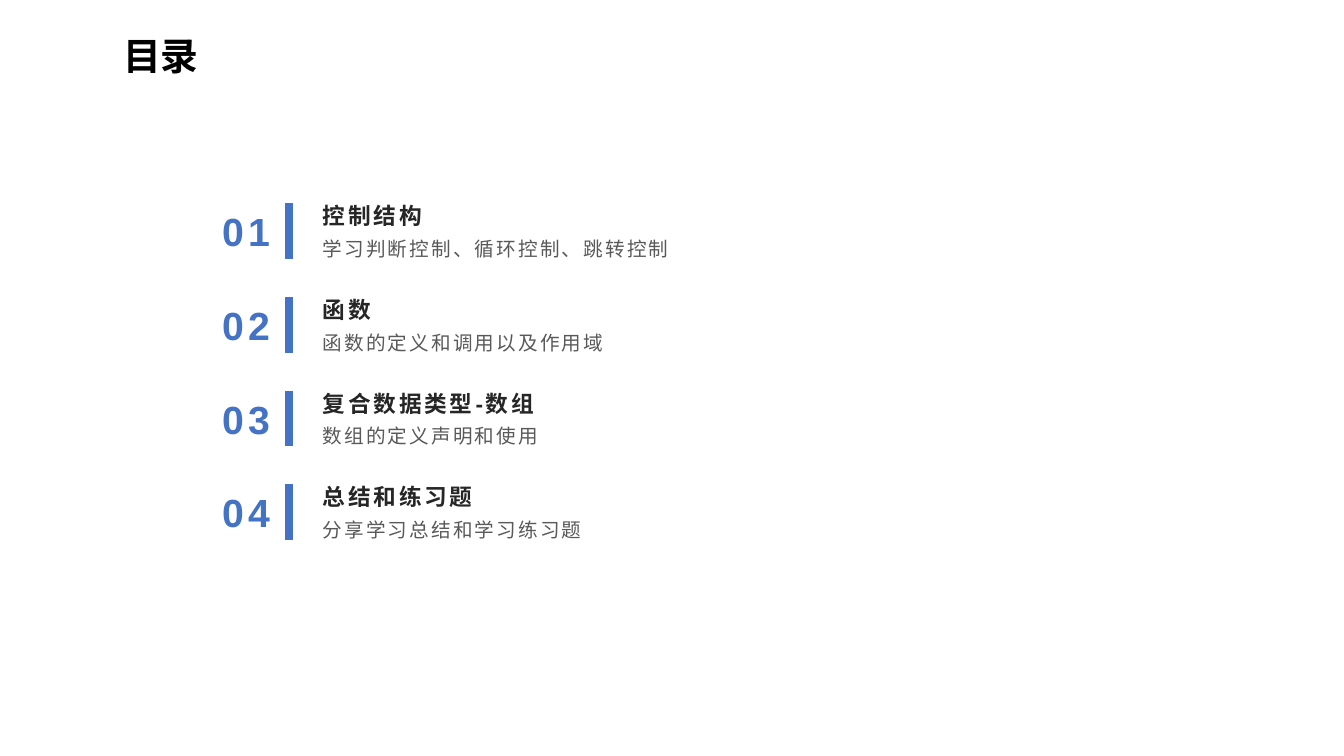
from collections import namedtuple

from lxml.etree import SubElement
from pptx import Presentation
from pptx.dml.color import RGBColor
from pptx.enum.shapes import MSO_CONNECTOR
from pptx.enum.text import MSO_ANCHOR as Anchor, MSO_AUTO_SIZE as AutoSize, PP_ALIGN as Align
from pptx.oxml.ns import qn
from pptx.util import Cm, Pt

BLACK = RGBColor(0x00, 0x00, 0x00)
DARK = RGBColor(0x26, 0x26, 0x26)
GREY = RGBColor(0x59, 0x59, 0x59)
BLUE = RGBColor(0x44, 0x72, 0xC4)
LATIN = "Arial"
CHINESE = "Noto Sans CJK SC"

Box = namedtuple("Box", "left top width height")
Style = namedtuple("Style", "size color bold tracking latin")

TITLE = Style(27, BLACK, True, 0, CHINESE)
NUMBER = Style(28, BLUE, True, 3, LATIN)
HEADING = Style(16.2, DARK, True, 2, LATIN)
DETAIL = Style(14, GREY, False, 1.5, LATIN)

CHAPTERS = [
    ("控制结构", "学习判断控制、循环控制、跳转控制"),
    ("函数", "函数的定义和调用以及作用域"),
    ("复合数据类型-数组", "数组的定义声明和使用"),
    ("总结和练习题", "分享学习总结和学习练习题"),
]
ROW_PITCH = 2.36


def fill_text(shape, text, style, margins, anchor, spacing=1.0, align=Align.LEFT):
    """Write one formatted paragraph into a shape."""
    frame = shape.text_frame
    frame.text = text
    frame.word_wrap = True
    frame.auto_size = AutoSize.NONE
    frame.vertical_anchor = anchor
    (frame.margin_left, frame.margin_top,
     frame.margin_right, frame.margin_bottom) = map(Cm, margins)
    para = frame.paragraphs[0]
    para.alignment = align
    para.line_spacing = spacing
    span = para.runs[0]
    span.font.name = style.latin
    span.font.size = Pt(style.size)
    span.font.bold = style.bold
    span.font.color.rgb = style.color
    properties = span.font._element
    properties.set("spc", str(round(style.tracking * 100)))
    SubElement(properties, qn("a:ea")).set("typeface", CHINESE)


def add_title(page, box, text):
    """Place and format the title placeholder."""
    title = page.shapes.title
    title.left, title.top, title.width, title.height = map(Cm, box)
    fill_text(title, text, TITLE, (0.33, 0.18, 0.33, 0.18), Anchor.MIDDLE, 0.9)


def add_label(page, box, *content):
    """Add a text box and fill it."""
    fill_text(page.shapes.add_textbox(*map(Cm, box)), *content)


def add_bar(page, x, top, bottom):
    """Draw the thick vertical rule beside a chapter number."""
    bar = page.shapes.add_connector(
        MSO_CONNECTOR.STRAIGHT, Cm(x), Cm(top), Cm(x), Cm(bottom))
    bar.line.color.rgb = BLUE
    bar.line.width = Pt(5.5)
    SubElement(bar._element.spPr, qn("a:effectLst"))


def add_chapter(page, box, number, heading, detail):
    """Add one contents row: number, bar, heading and detail."""
    left, top, width, height = box
    text_left = left + 2.67
    text_width = width - 2.67
    add_label(page, Box(left, top + 0.23, 1.98, 1.45), f"{number:02d}", NUMBER,
              (0.25, 0.13, 0.25, 0.13), Anchor.TOP, 1.0, Align.CENTER)
    add_bar(page, left + 2.08, top + 0.25, top + 1.66)
    add_label(page, Box(text_left, top, text_width, 0.91), heading, HEADING,
              (0.25, 0.13, 0.25, 0), Anchor.BOTTOM, 1.1)
    add_label(page, Box(text_left, top + 0.98, text_width, height - 0.98), detail,
              DETAIL, (0.25, 0, 0.25, 0.13), Anchor.TOP, 1.2)


def add_contents(page, box):
    """Stack the chapter rows at an equal pitch."""
    for index, (heading, detail) in enumerate(CHAPTERS):
        row = Box(box.left, box.top + index * ROW_PITCH, box.width, 1.95)
        add_chapter(page, row, index + 1, heading, detail)


def build():
    """Build and save the contents slide."""
    deck = Presentation()
    deck.slide_width, deck.slide_height = Cm(33.87), Cm(19.05)
    page = deck.slides.add_slide(deck.slide_layouts[5])
    add_title(page, Box(2.77, 0.66, 29.21, 1.6), "目录")
    add_contents(page, Box(5.21, 4.87, 12.22, 9.03))
    deck.save("out.pptx")


build()
